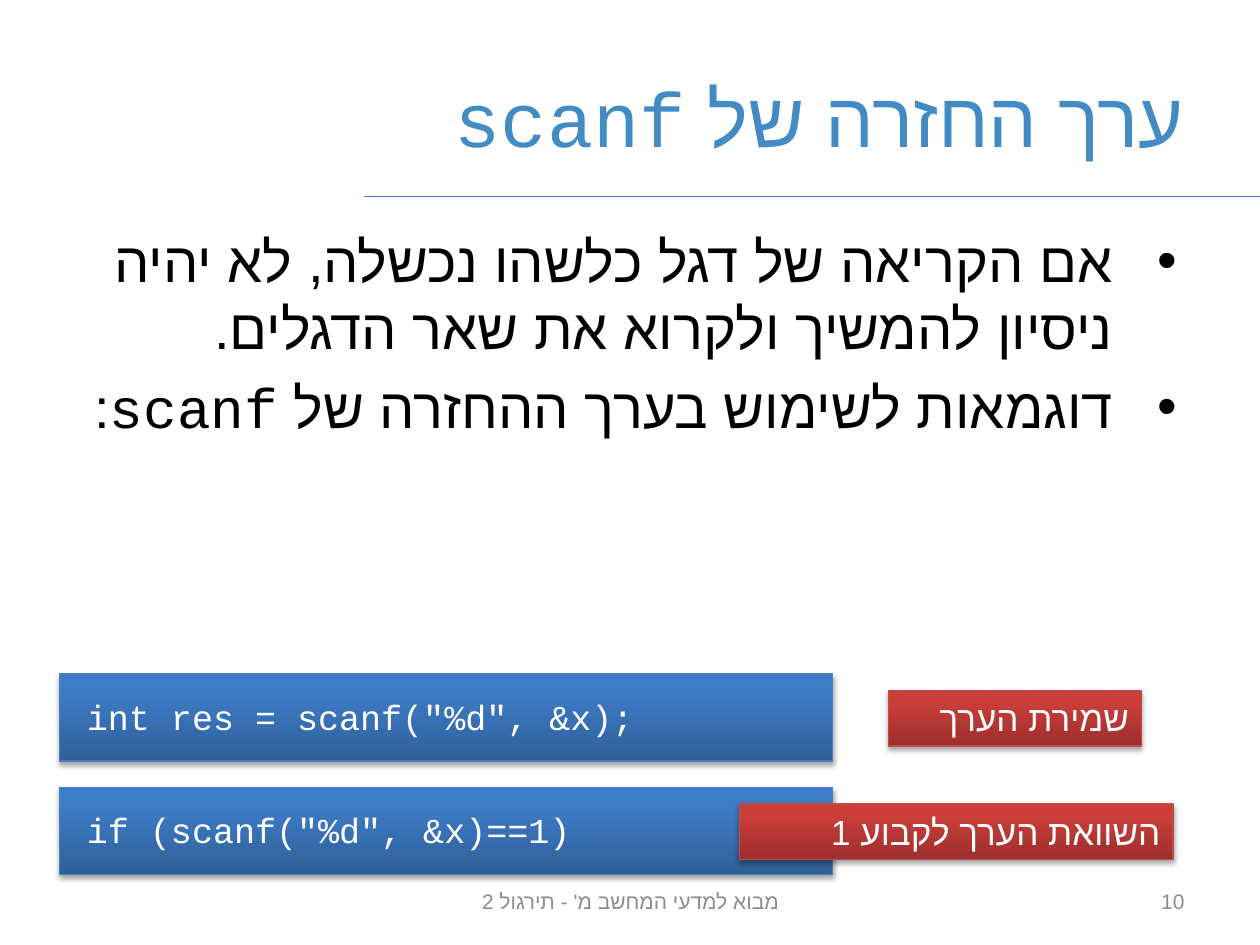
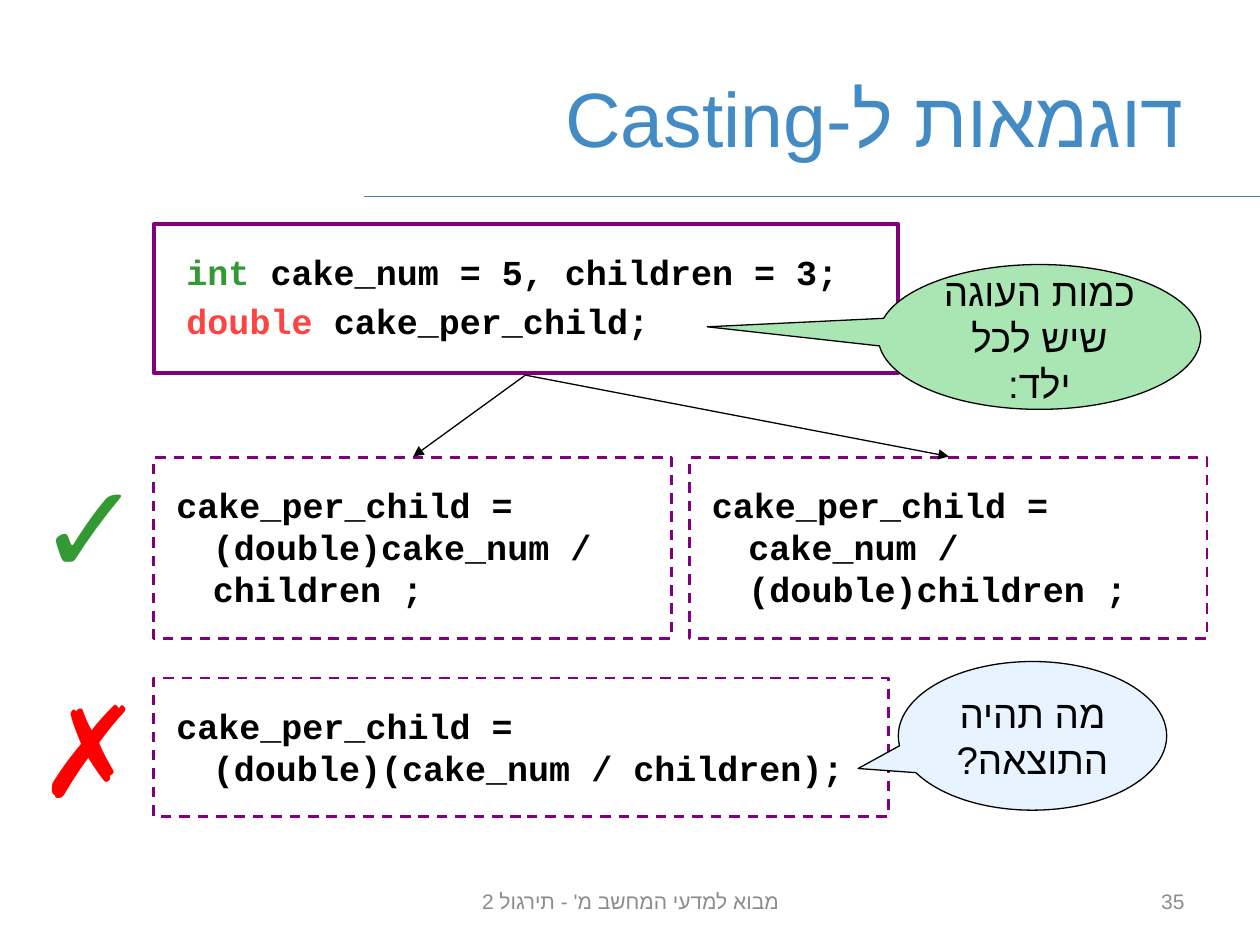
from lxml import etree
from pptx import Presentation
from pptx.dml.color import RGBColor
from pptx.enum.dml import MSO_LINE
from pptx.enum.shapes import MSO_CONNECTOR, MSO_SHAPE
from pptx.enum.text import MSO_ANCHOR, MSO_AUTO_SIZE, PP_ALIGN
from pptx.oxml.ns import qn
from pptx.util import Inches, Pt

RECTANGLE = MSO_SHAPE.RECTANGLE
CALLOUT = MSO_SHAPE.OVAL_CALLOUT
STRAIGHT = MSO_CONNECTOR.STRAIGHT
DASH = MSO_LINE.DASH
TOP, MIDDLE = MSO_ANCHOR.TOP, MSO_ANCHOR.MIDDLE
LEFT, CENTER, RIGHT = PP_ALIGN.LEFT, PP_ALIGN.CENTER, PP_ALIGN.RIGHT

BLACK = RGBColor(0x00, 0x00, 0x00)
WHITE = RGBColor(0xFF, 0xFF, 0xFF)
GREY = RGBColor(0x8C, 0x8C, 0x8C)
TITLE_BLUE = RGBColor(0x43, 0x8B, 0xC4)
RULE_BLUE = RGBColor(0x4B, 0x7E, 0xBC)
DARK_BLUE = RGBColor(0x2F, 0x5F, 0x99)
LIGHT_BLUE = RGBColor(0x3D, 0x7C, 0xC7)
LABEL_EDGE = RGBColor(0xBF, 0x4C, 0x48)
DARK_RED = RGBColor(0x9C, 0x2F, 0x2D)
LIGHT_RED = RGBColor(0xCB, 0x3E, 0x3A)
PURPLE = RGBColor(0x80, 0x00, 0x80)
GREEN = RGBColor(0x33, 0x99, 0x33)
RED = RGBColor(0xFF, 0x00, 0x00)
KEYWORD_RED = RGBColor(0xFF, 0x43, 0x43)
PALE_BLUE = RGBColor(0xE7, 0xF4, 0xFF)
PALE_GREEN = RGBColor(0xAA, 0xE6, 0xB3)

SANS, HEBREW, CODE = "Calibri", "Arial", "Courier New"
WIDTH, HEIGHT = Inches(10), Inches(7.5)
FOOTER = "מבוא למדעי המחשב מ' - תירגול 2"


def place(left, top, right, bottom):
    """Turn percentages of the slide into lengths; also serves left, top, width, height."""
    return [int(share * side / 100)
            for share, side in zip((left, top, right, bottom), (WIDTH, HEIGHT) * 2)]


def write(box, paragraphs, size, color=BLACK, font=SANS, bold=False, align=LEFT, rtl=False,
          anchor=TOP, margins=(0.1, 0.05), hang=None, gap=0):
    """Fill a box; each paragraph is a list of (text, changed formats) pairs."""
    frame = box.text_frame
    frame.word_wrap = True
    frame.auto_size = MSO_AUTO_SIZE.NONE
    frame.vertical_anchor = anchor
    frame.margin_left = frame.margin_right = Inches(margins[0])
    frame.margin_top = frame.margin_bottom = Inches(margins[1])
    for index, pieces in enumerate(paragraphs):
        para = frame.add_paragraph() if index else frame.paragraphs[0]
        para.alignment = align
        para.space_before = Pt(gap if index else 0)
        properties = para._p.get_or_add_pPr()
        if rtl:
            properties.set("rtl", "1")
        if hang:
            properties.set("marL", str(Inches(hang[0])))
            properties.set("indent", str(-Inches(hang[1])))
        for text, changes in pieces:
            for number, line in enumerate(text.split("\n")):
                if number:
                    para.add_line_break()
                span = para.add_run()
                span.text = line
                span.font.size = Pt(size)
                span.font.bold = bold
                span.font.color.rgb = changes.get("color", color)
                span.font.name = changes.get("font", font)
                if rtl:
                    script = etree.SubElement(span._r.get_or_add_rPr(), qn("a:cs"))
                    script.set("typeface", HEBREW)


deck = Presentation()
deck.slide_width, deck.slide_height = WIDTH, HEIGHT
scanf_page = deck.slides.add_slide(deck.slide_layouts[1])
casting_page = deck.slides.add_slide(deck.slide_layouts[5])

# Title and footer of both slides
for page, title, number in (
    (scanf_page, [("ערך החזרה של ", {}), ("scanf", {"font": CODE})], "10"),
    (casting_page, [("דוגמאות ל-Casting", {})], "35"),
):
    heading = page.shapes.title
    heading.left, heading.top, heading.width, heading.height = place(5, 4, 90, 16.67)
    write(heading, [title], 44, TITLE_BLUE, HEBREW, align=RIGHT, rtl=True, anchor=MIDDLE)
    for text, left, width, align in ((FOOTER, 34.2, 31.7, CENTER), (number, 71.7, 23.3, RIGHT)):
        box = page.shapes.add_textbox(*place(left, 92.67, width, 5.33))
        write(box, [[(text, {})]], 12, GREY, align=align, rtl=True, anchor=MIDDLE)

# Return value of scanf
body = scanf_page.placeholders[1]
body.left, body.top, body.width, body.height = place(5, 23.33, 90, 50.8)
write(body, [
    [("אם הקריאה של דגל כלשהו נכשלה, לא יהיה ניסיון להמשיך ולקרוא את שאר הדגלים.", {})],
    [("דוגמאות לשימוש בערך ההחזרה של ", {}), ("scanf", {"font": CODE}), (":", {})],
], 32, align=RIGHT, rtl=True, hang=(0.56, 0.5), gap=6.4)

BLUE_STYLE = (DARK_BLUE, LIGHT_BLUE, RULE_BLUE, {"margins": (0.22, 0.17)})
RED_STYLE = (DARK_RED, LIGHT_RED, LABEL_EDGE, {"align": RIGHT, "rtl": True})
examples = (
    ('int res = scanf("%d", &x);', "שמירת הערך", 70.5, 20.1),
    ('if (scanf("%d", &x)==1)', "השוואת הערך לקבוע 1", 58.7, 34.4),
)
for row, (code, label, label_left, label_width) in enumerate(examples):
    top = 71.33 + 12 * row
    for text, position, (dark, light, edge, layout) in (
        (code, (4.7, top, 61.4, 9.2), BLUE_STYLE),
        (label, (label_left, top + 1.74, label_width, 5.87), RED_STYLE),
    ):
        box = scanf_page.shapes.add_shape(RECTANGLE, *place(*position))
        box.fill.gradient()
        box.fill.gradient_angle = 90
        for stop, color, share in zip(box.fill.gradient_stops, (dark, light), (0, 0.8)):
            stop.color.rgb = color
            stop.position = share
        box.line.color.rgb = edge
        box.line.width = Pt(0.75)
        box.shadow.inherit = False
        effects = box._element.spPr.find(qn("a:effectLst"))
        shadow = etree.SubElement(effects, qn("a:outerShdw"), blurRad=str(Pt(3.1)),
                                  dist=str(Pt(1.8)), dir="5400000", rotWithShape="0")
        shade = etree.SubElement(shadow, qn("a:srgbClr"), val=str(BLACK))
        etree.SubElement(shade, qn("a:alpha"), val="35000")
        write(box, [[(text, {})]], 20, WHITE, CODE, **layout)

# Casting: declarations and the three expressions
declarations = [
    [("int ", {"color": GREEN}), ("cake_num = 5, children = 3;", {})],
    [("double ", {"color": KEYWORD_RED}), ("cake_per_child;", {})],
]
cast_first = [[("cake_per_child =\n(double)cake_num /\nchildren ;", {})]]
cast_second = [[("cake_per_child =\ncake_num /\n(double)children ;", {})]]
cast_result = [[("cake_per_child =\n(double)(cake_num / children);", {})]]
for position, paragraphs, inset, weight, dash in (
    ((12.2, 23.73, 59.1, 15.73), declarations, 0.26, 2.25, None),
    ((12.2, 48.4, 41.1, 19.2), cast_first, 0.18, 1.5, DASH),
    ((54.7, 48.4, 41.1, 19.2), cast_second, 0.18, 1.5, DASH),
    ((12.2, 71.73, 58.3, 14.67), cast_result, 0.18, 1.5, DASH),
):
    panel = casting_page.shapes.add_shape(RECTANGLE, *place(*position))
    panel.shadow.inherit = False
    panel.fill.background()
    panel.line.color.rgb = PURPLE
    panel.line.width = Pt(weight)
    panel.line.dash_style = dash
    write(panel, paragraphs, 20, font=CODE, bold=True, margins=(inset, 0.21),
          hang=(0.29, 0.29), gap=4)

for mark, top, color in (("✓", 46.8, GREEN), ("✗", 70.4, RED)):
    box = casting_page.shapes.add_textbox(*place(2, top, 8.7, 17.33))
    write(box, [[(mark, {})]], 72, color, bold=True)

for text, position, tip, color in (
    ("מה תהיה התוצאה?", (71.3, 70, 21.3, 15.73), (-0.65, 0.22), PALE_BLUE),
    ("כמות העוגה שיש לכל ילד:", (69.7, 28, 25.6, 15.33), (-1.03, -0.07), PALE_GREEN),
):
    callout = casting_page.shapes.add_shape(CALLOUT, *place(*position))
    callout.adjustments[0], callout.adjustments[1] = tip
    callout.shadow.inherit = False
    callout.fill.solid()
    callout.fill.fore_color.rgb = color
    callout.line.color.rgb = BLACK
    callout.line.width = Pt(0.75)
    write(callout, [[(text, {})]], 22, align=CENTER, rtl=True, anchor=MIDDLE)

# Title rules, and arrows from the declarations to both correct casts
title_rule = (100, 20.8, 28.9, 20.8)
for page, ends, color, arrow in (
    (scanf_page, title_rule, RULE_BLUE, False),
    (casting_page, title_rule, RULE_BLUE, False),
    (casting_page, (41.7, 39.7, 32.8, 48.3), BLACK, True),
    (casting_page, (41.7, 39.7, 75.3, 48.3), BLACK, True),
):
    line = page.shapes.add_connector(STRAIGHT, *place(*ends))
    line.line.color.rgb = color
    line.line.width = Pt(0.75)
    if arrow:
        etree.SubElement(line.line._get_or_add_ln(), qn("a:tailEnd"), type="triangle")
    etree.SubElement(line._element.spPr, qn("a:effectLst"))

deck.save("out.pptx")
